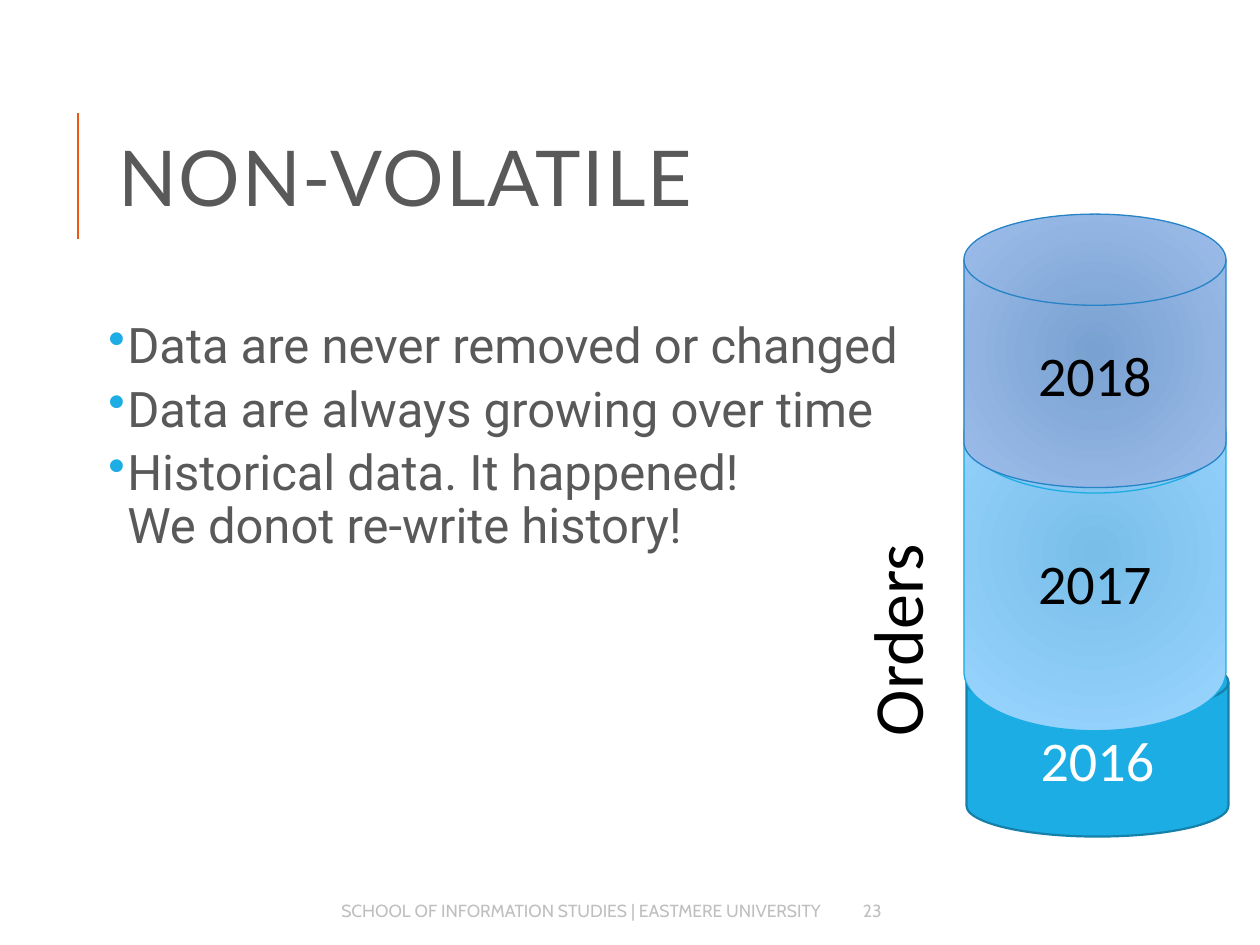
from dataclasses import dataclass
from typing import Optional

from lxml.etree import SubElement
from pptx import Presentation
from pptx.dml.color import RGBColor
from pptx.enum.shapes import MSO_CONNECTOR, MSO_SHAPE
from pptx.enum.text import MSO_ANCHOR, PP_ALIGN
from pptx.oxml.ns import qn
from pptx.util import Pt

EMU_PER_PX = 9144  # 100 px to the inch

ORANGE = RGBColor(0xEE, 0x56, 0x12)
SKY = RGBColor(0x1C, 0xAD, 0xE4)
TEAL = RGBColor(0x15, 0x80, 0xA9)
BLUE = RGBColor(0x26, 0x83, 0xC6)
DARK_GRAY = RGBColor(0x59, 0x59, 0x59)
LIGHT_GRAY = RGBColor(0xBF, 0xBF, 0xBF)
BLACK = RGBColor(0, 0, 0)
WHITE = RGBColor(0xFF, 0xFF, 0xFF)


@dataclass
class Box:
    left: int
    top: int
    width: int
    height: int

    def emu(self) -> list[int]:
        return [px(n) for n in (self.left, self.top, self.width, self.height)]


@dataclass
class Style:
    font: str
    size: int
    color: RGBColor


@dataclass
class Disk:
    year: str
    box: Box
    fill: RGBColor
    edge: Optional[RGBColor]  # outer gradient colour; None for a solid fill
    line: RGBColor
    line_width: float
    text_color: RGBColor


DISKS = [
    Disk("2016", Box(767, 517, 208, 147), SKY, None, TEAL, 1.25, WHITE),
    Disk("2017", Box(765, 297, 208, 283), RGBColor(0x78, 0xBE, 0xE9),
         RGBColor(0x9A, 0xD5, 0xFF), SKY, 0.75, BLACK),
    Disk("2018", Box(765, 170, 208, 217), RGBColor(0x79, 0xA1, 0xD1),
         RGBColor(0x9E, 0xBE, 0xEB), BLUE, 0.75, BLACK),
]
BULLETS = [
    "Data are never removed or changed",
    "Data are always growing over time",
    "Historical data. It happened!\vWe donot re-write history!",
]


def px(length: int) -> int:
    return length * EMU_PER_PX


def format_runs(paragraph, style: Style) -> None:
    for run in paragraph.runs:
        run.font.name = style.font
        run.font.size = Pt(style.size)
        run.font.color.rgb = style.color


def add_text(slide, box: Box, text: str, style: Style, align=PP_ALIGN.LEFT,
             anchor=MSO_ANCHOR.MIDDLE):
    shape = slide.shapes.add_textbox(*box.emu())
    frame = shape.text_frame
    frame.word_wrap = True
    frame.vertical_anchor = anchor
    frame.text = text
    for paragraph in frame.paragraphs:
        paragraph.alignment = align
        format_runs(paragraph, style)
    return shape


def add_bullet(paragraph) -> None:
    paragraph.line_spacing = 0.9
    paragraph.space_before = Pt(2)
    paragraph.space_after = Pt(4)
    properties = paragraph._p.get_or_add_pPr()
    properties.set("marL", str(px(29)))
    properties.set("indent", str(px(-15)))
    bullet_color = SubElement(properties, qn("a:buClr"))
    SubElement(bullet_color, qn("a:srgbClr"), val=str(SKY))
    SubElement(properties, qn("a:buChar"), char="•")


def fill_radial(shape, center: RGBColor, edge: RGBColor) -> None:
    shape.fill.gradient()
    for stop, color in zip(shape.fill.gradient_stops, (center, edge)):
        stop.color.rgb = color
    gradient = shape._element.spPr.find(qn("a:gradFill"))
    gradient.remove(gradient.find(qn("a:lin")))
    path = SubElement(gradient, qn("a:path"), path="circle")
    SubElement(path, qn("a:fillToRect"), {side: "100000" for side in "ltrb"})


def add_disk(slide, disk: Disk) -> None:
    shape = slide.shapes.add_shape(MSO_SHAPE.FLOWCHART_MAGNETIC_DISK, *disk.box.emu())
    shape.shadow.inherit = False
    if disk.edge is None:
        shape.fill.solid()
        shape.fill.fore_color.rgb = disk.fill
    else:
        fill_radial(shape, disk.fill, disk.edge)
    shape.line.color.rgb = disk.line
    shape.line.width = Pt(disk.line_width)
    frame = shape.text_frame
    frame.vertical_anchor = MSO_ANCHOR.MIDDLE
    frame.text = disk.year
    frame.paragraphs[0].alignment = PP_ALIGN.CENTER
    format_runs(frame.paragraphs[0], Style("Calibri", 32, disk.text_color))


def main() -> None:
    presentation = Presentation()
    presentation.slide_width, presentation.slide_height = px(1000), px(750)
    slide = presentation.slides.add_slide(presentation.slide_layouts[6])

    # Accent line beside the title
    accent = slide.shapes.add_connector(
        MSO_CONNECTOR.STRAIGHT, px(62), px(190), px(62), px(90))
    accent.line.color.rgb = ORANGE
    accent.line.width = Pt(1.5)
    SubElement(accent._element.spPr, qn("a:effectLst"))

    # Title
    title = add_text(slide, Box(84, 64, 797, 164), "NON-VOLATILE",
                     Style("Lato", 44, DARK_GRAY))
    title_paragraph = title.text_frame.paragraphs[0]
    title_paragraph.line_spacing = 0.8
    title_paragraph.runs[0].font._element.set("spc", "100")

    # Bullet list
    body = add_text(slide, Box(67, 250, 815, 242), "\n".join(BULLETS),
                    Style("Roboto", 28, DARK_GRAY), anchor=MSO_ANCHOR.TOP)
    frame = body.text_frame
    frame.margin_left = frame.margin_right = px(5)
    frame.margin_top = frame.margin_bottom = px(5)
    for paragraph in frame.paragraphs:
        add_bullet(paragraph)

    # Footer and slide number
    footer_style = Style("Cabin", 10, LIGHT_GRAY)
    add_text(slide, Box(189, 708, 472, 30),
             "SCHOOL OF INFORMATION STUDIES | EASTMERE UNIVERSITY",
             footer_style, PP_ALIGN.RIGHT)
    add_text(slide, Box(675, 708, 91, 30), "23", footer_style)

    # Stack of yearly orders, oldest at the back
    for disk in DISKS:
        add_disk(slide, disk)
    orders = add_text(slide, Box(594, 439, 233, 77), "Orders",
                      Style("Calibri", 40, BLACK), anchor=MSO_ANCHOR.TOP)
    orders.rotation = 270

    presentation.save("out.pptx")


if __name__ == "__main__":
    main()
